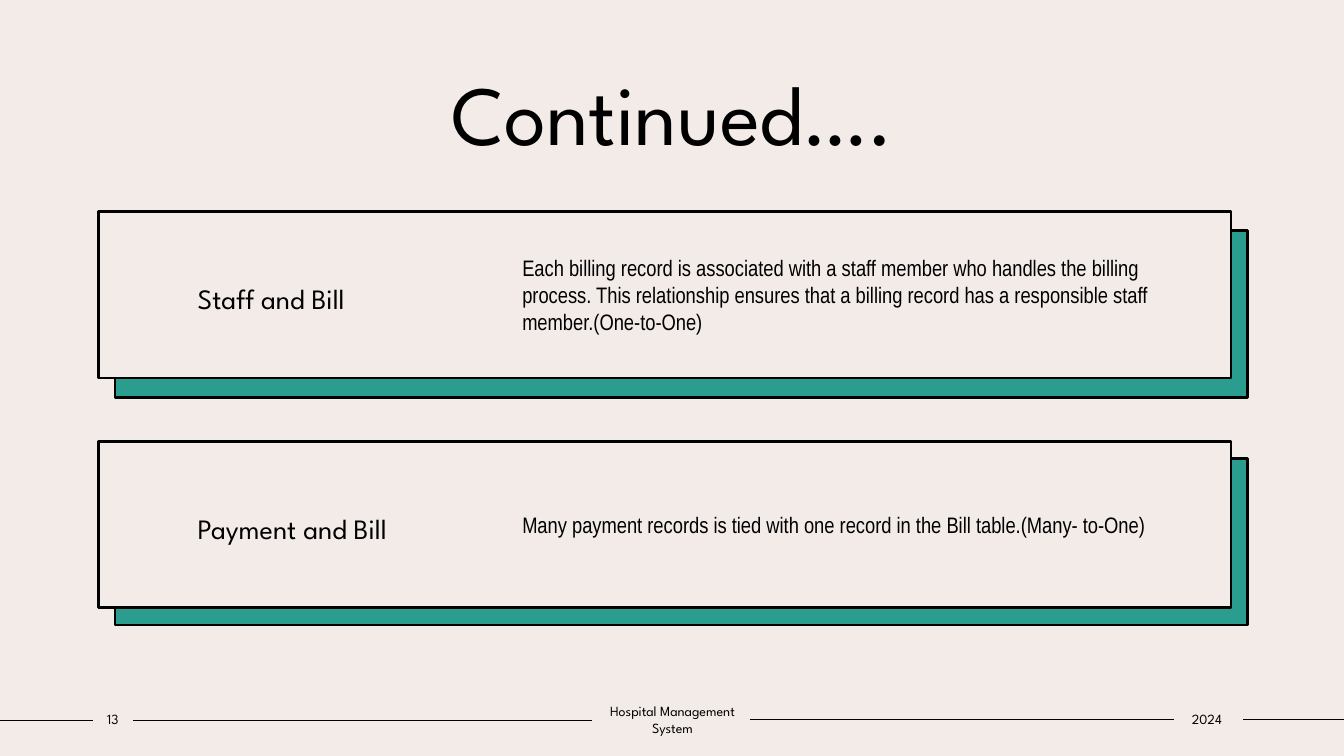
import pptx
import pptx.util
import pptx.dml.color
import pptx.enum.shapes
import pptx.enum.text
import lxml.etree

Inches = pptx.util.Inches
Pt = pptx.util.Pt
RGBColor = pptx.dml.color.RGBColor
ALIGN = pptx.enum.text.PP_ALIGN
MIDDLE = pptx.enum.text.MSO_ANCHOR.MIDDLE

INK = RGBColor(0x00, 0x00, 0x00)
PAPER = RGBColor(0xF3, 0xEB, 0xE8)
TEAL = RGBColor(0x2A, 0x9D, 0x8F)
HEAD_FONT = "League Spartan"
BODY_FONT = "Arial Narrow"

CARD_LEFT, CARD_WIDE, CARD_HIGH = 0.98, 11.23, 1.65
CARDS = [
    # top, shadow drop, heading, detail
    (2.1, 0.19, "Staff and Bill",
     "Each billing record is associated with a staff member who handles the "
     "billing process. This relationship ensures that a billing record has a "
     "responsible staff member.(One-to-One)"),
    (4.38, 0.17, "Payment and Bill",
     "Many payment records is tied with one record in the Bill table."
     "(Many- to-One)"),
]
RULES = [(0, 0.92, 7.15), (1.32, 5.87, 7.15),
         (7.44, 11.64, 7.14), (12.33, 13.33, 7.14)]
NOTES = [(0.92, 0.4, "13"), (5.87, 1.6, "Hospital Management System"),
         (11.62, 0.7, "2024")]


def place(shape, left, top, wide, high):
    shape.left, shape.top = Inches(left), Inches(top)
    shape.width, shape.height = Inches(wide), Inches(high)


def write(shape, text, font, size, align=ALIGN.LEFT, sides=(0.1, 0.1)):
    """Fill a shape with one plain, vertically centred paragraph."""
    frame = shape.text_frame
    frame.text = text
    frame.word_wrap = True
    frame.auto_size = pptx.enum.text.MSO_AUTO_SIZE.NONE
    frame.vertical_anchor = MIDDLE
    frame.margin_left, frame.margin_right = map(Inches, sides)
    frame.margin_top = frame.margin_bottom = Inches(0.05)
    para = frame.paragraphs[0]
    props = para._p.get_or_add_pPr()
    props.set("marL", "0")
    props.set("indent", "0")
    lxml.etree.SubElement(props, pptx.oxml.ns.qn("a:buNone"))
    para.alignment = align
    para.space_before = Pt(0)
    para.font.name = font
    para.font.size = Pt(size)
    para.font.bold = False
    para.font.color.rgb = INK
    return para


def paint(shape, color):
    shape.fill.solid()
    shape.fill.fore_color.rgb = color
    shape.line.color.rgb = INK
    shape.line.width = Pt(2)


def add_shade(slide, left, top):
    """Put a teal block behind everything else on the slide."""
    shade = slide.shapes.add_shape(
        pptx.enum.shapes.MSO_SHAPE.RECTANGLE, Inches(left), Inches(top),
        Inches(CARD_WIDE), Inches(CARD_HIGH))
    shade.shadow.inherit = False
    paint(shade, TEAL)
    slide.shapes._spTree.insert(2, shade._element)


def add_card(slide, label, detail, card):
    top, drop, head, text = card
    add_shade(slide, CARD_LEFT + 0.16, top + drop)
    place(label, CARD_LEFT, top, CARD_WIDE, CARD_HIGH)
    paint(label, PAPER)
    para = write(label, head, HEAD_FONT, 20, sides=(0.98, 7.1))
    para.line_spacing = 1.2
    place(detail, CARD_LEFT + 4.1, top + 0.1, 7.01, CARD_HIGH - 0.2)
    write(detail, text, BODY_FONT, 16)


def add_foot(slide, top):
    for start, end, level in RULES:
        rule = slide.shapes.add_connector(
            pptx.enum.shapes.MSO_CONNECTOR.STRAIGHT,
            Inches(start), Inches(level), Inches(end), Inches(level))
        rule.line.color.rgb = INK
        rule.line.width = Pt(1)
        lxml.etree.SubElement(rule._element.spPr,
                              pptx.oxml.ns.qn("a:effectLst"))
    for left, wide, text in NOTES:
        note = slide.shapes.add_textbox(
            Inches(left), Inches(top), Inches(wide), Inches(0.27))
        write(note, text, HEAD_FONT, 10, ALIGN.CENTER, (0, 0))


def main():
    deck = pptx.Presentation()
    deck.slide_width, deck.slide_height = Inches(13.33), Inches(7.5)
    slide = deck.slides.add_slide(deck.slide_layouts.get_by_name("Comparison"))
    slide.background.fill.solid()
    slide.background.fill.fore_color.rgb = PAPER
    title, *bodies = slide.placeholders
    place(title, 1.25, 0.56, 10.84, 1.11)
    write(title, "Continued….", HEAD_FONT, 60, ALIGN.CENTER)
    for label, detail, card in zip(bodies[::2], bodies[1::2], CARDS):
        add_card(slide, label, detail, card)
    add_foot(slide, 7)
    deck.save("out.pptx")


if __name__ == "__main__":
    main()
